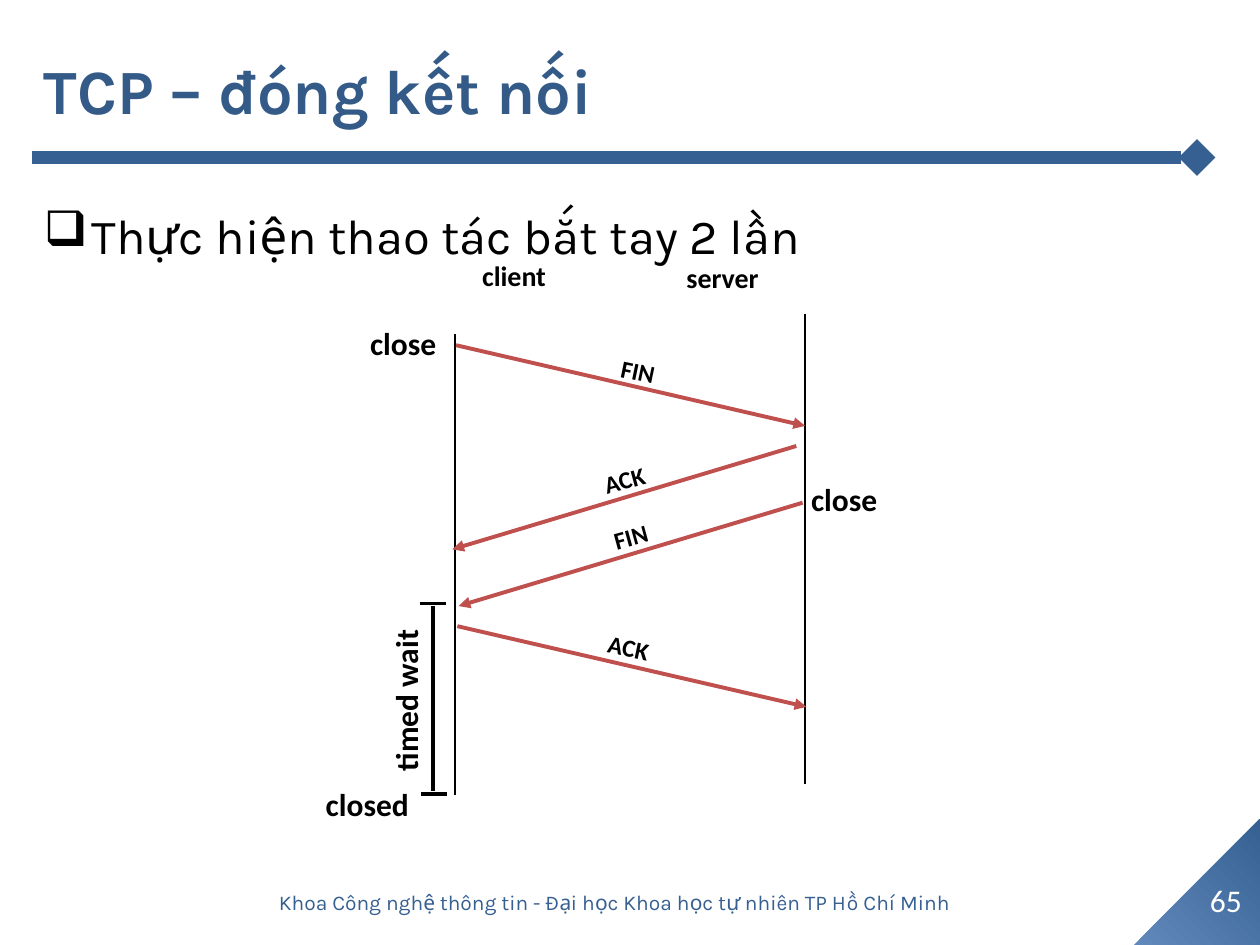
import pptx
import pptx.dml.color
import pptx.enum.dml
import pptx.enum.shapes
import pptx.enum.text
import pptx.oxml.ns
import pptx.util
from lxml import etree

Inches = pptx.util.Inches
Pt = pptx.util.Pt
qn = pptx.oxml.ns.qn
ALIGN = pptx.enum.text.PP_ALIGN
ANCHOR = pptx.enum.text.MSO_ANCHOR

BLUE, RED, BLACK, WHITE = "376092", "C0504D", "000000", "FFFFFF"


def color(code):
    return pptx.dml.color.RGBColor.from_string(code)


def add_text(slide, text, box, size=18, font="Calibri", tint=BLACK, bold=False,
             align=ALIGN.CENTER, anchor=ANCHOR.TOP, wrap=True, turn=0, bullet=None):
    shape = slide.shapes.add_textbox(*map(Inches, box))
    shape.rotation = turn
    frame = shape.text_frame
    frame.word_wrap = wrap
    frame.vertical_anchor = anchor
    para = frame.paragraphs[0]
    para.alignment = align
    if bullet:
        props = para._p.get_or_add_pPr()
        props.set("marL", str(Inches(0.38)))
        props.set("indent", str(Inches(-0.38)))
        etree.SubElement(props, qn("a:buChar")).set("char", bullet)
    run = para.add_run()
    run.text = text
    run.font.size = Pt(size)
    run.font.name = font
    run.font.bold = bold
    run.font.color.rgb = color(tint)


def add_line(slide, start, end, tint=BLACK, width=2.25, tail=None):
    line = slide.shapes.add_connector(
        pptx.enum.shapes.MSO_CONNECTOR.STRAIGHT, *map(Inches, start + end))
    line.line.color.rgb = color(tint)
    line.line.width = Pt(width)
    if tail:
        etree.SubElement(line.line._get_or_add_ln(), qn("a:tailEnd")).set("type", tail)
    etree.SubElement(line._element.spPr, qn("a:effectLst"))


def add_corner(slide):
    shape = slide.shapes.add_shape(
        pptx.enum.shapes.MSO_SHAPE.RIGHT_TRIANGLE,
        Inches(9), Inches(6.5), Inches(1), Inches(1))
    shape.rotation = 270
    shape.shadow.inherit = False
    shape.line.fill.background()
    shape.fill.gradient()
    shape.fill.gradient_angle = 315
    for stop, code in zip(shape.fill.gradient_stops, ("6289BC", BLUE)):
        stop.color.rgb = color(code)


def add_frame(slide):
    """Title, rule, bullet and footer around the diagram."""
    add_corner(slide)
    add_line(slide, (0.25, 1.25), (9.5, 1.25), BLUE, 7, "diamond")
    add_text(slide, "TCP – đóng kết nối", (0.25, 0.08, 9.57, 1.25), size=36,
             font="Karla", tint="345A88", bold=True, align=ALIGN.LEFT,
             anchor=ANCHOR.MIDDLE)
    add_text(slide, "Thực hiện thao tác bắt tay 2 lần", (0.25, 1.58, 9.42, 5.33),
             size=28, font="Karla", align=ALIGN.LEFT, bullet="❑")
    add_text(slide, "65", (9.46, 6.94, 0.54, 0.4), tint=WHITE, anchor=ANCHOR.MIDDLE)
    add_text(slide, "Khoa Công nghệ thông tin - Đại học Khoa học tự nhiên TP Hồ Chí Minh",
             (1.25, 6.96, 7.25, 0.4), size=12, font="Karla", tint=BLUE,
             anchor=ANCHOR.MIDDLE)


def add_flow(slide):
    """Lifelines, messages and the wait bracket."""
    for x, top, end in ((3.61, 2.65, 6.31), (6.39, 2.49, 6.22)):
        add_line(slide, (x, top), (x, end), width=1.5)

    messages = (
        ("FIN", (3.62, 2.74), (6.39, 3.38), (4.81, 2.78, 0.51, 0.33), 11.8),
        ("ACK", (6.32, 3.54), (3.59, 4.36), (3.46, 3.64, 2.99, 0.33), 344.6),
        ("FIN", (6.37, 3.99), (3.64, 4.81), (3.51, 4.09, 2.99, 0.33), 344.6),
        ("ACK", (3.63, 4.97), (6.4, 5.61), (4.68, 4.97, 0.62, 0.33), 11.8),
    )
    for name, start, end, box, turn in messages:
        add_line(slide, start, end, RED, tail="triangle")
        add_text(slide, name, box, size=14, bold=True, wrap=False, turn=turn)

    add_line(slide, (3.44, 4.81), (3.44, 6.28))
    for x, y in ((3.33, 4.79), (3.34, 6.3)):
        add_line(slide, (x, y), (x + 0.21, y))

    labels = (
        ("client", (3.69, 2, 0.78, 0.37), 16, 0),
        ("server", (5.3, 2.02, 0.87, 0.37), 16, 0),
        ("close", (2.78, 2.52, 0.84, 0.4), 18, 0),
        ("close", (6.28, 3.76, 0.84, 0.4), 18, 0),
        ("closed", (2.42, 6.18, 0.99, 0.4), 18, 0),
        ("timed wait", (2.51, 5.36, 1.42, 0.4), 18, 270),
    )
    for text, box, size, turn in labels:
        add_text(slide, text, box, size=size, bold=True, wrap=False, turn=turn)


def main():
    deck = pptx.Presentation()
    deck.slide_width, deck.slide_height = Inches(10), Inches(7.5)
    slide = deck.slides.add_slide(deck.slide_layouts[6])
    add_frame(slide)
    add_flow(slide)
    deck.save("out.pptx")


if __name__ == "__main__":
    main()
